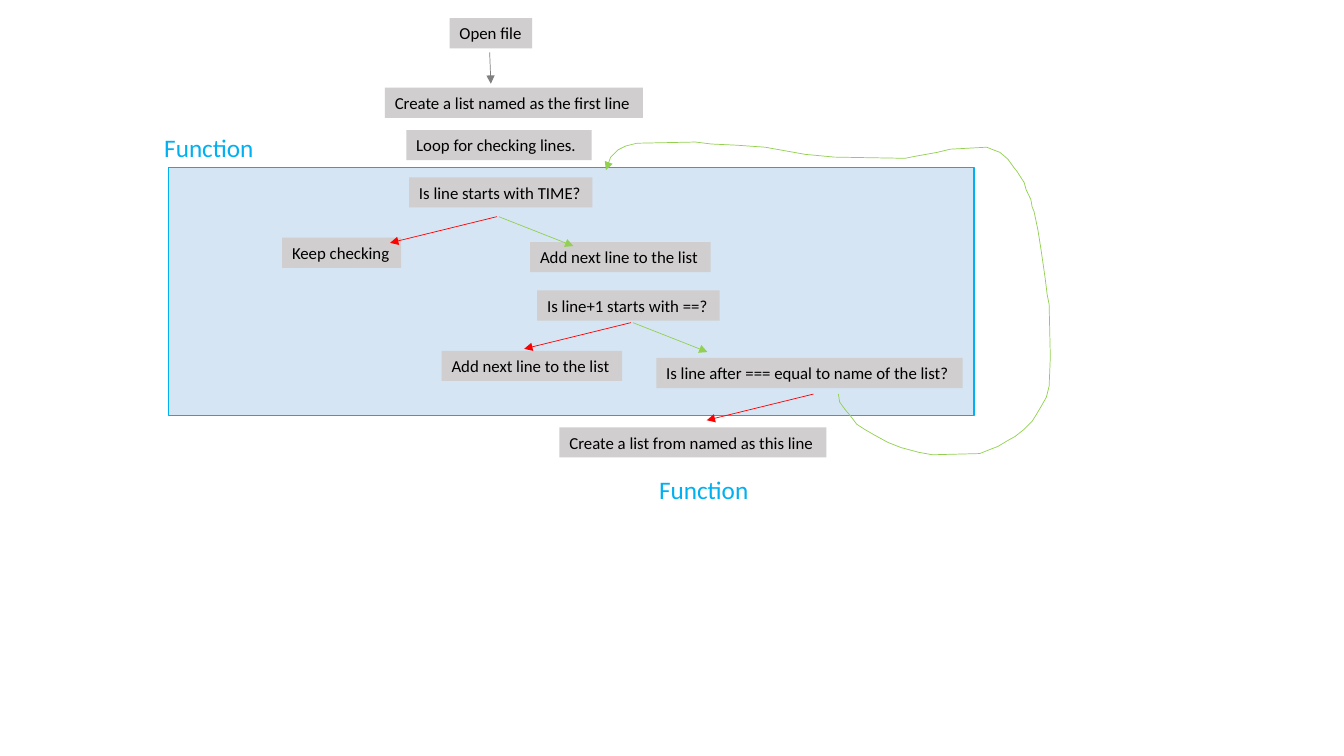
from lxml import etree
from pptx import Presentation
from pptx.dml.color import RGBColor
from pptx.enum.shapes import MSO_CONNECTOR, MSO_SHAPE
from pptx.oxml.ns import qn
from pptx.util import Cm, Pt

GREY = RGBColor(0xD0, 0xCE, 0xCE)
DARK_GREY = RGBColor(0x80, 0x80, 0x80)
BLUE = RGBColor(0x5B, 0x9B, 0xD5)
CYAN = RGBColor(0x00, 0xB0, 0xF0)
RED = RGBColor(0xFF, 0x00, 0x00)
GREEN = RGBColor(0x92, 0xD0, 0x50)
BLACK = RGBColor(0x00, 0x00, 0x00)

presentation = Presentation()
presentation.slide_width, presentation.slide_height = Cm(33.87), Cm(19.05)
slide = presentation.slides.add_slide(presentation.slide_layouts[6])
shapes = slide.shapes


def add_label(text, left, top, width, height, size, color):
    box = shapes.add_textbox(Cm(left), Cm(top), Cm(width), Cm(height))
    frame = box.text_frame
    frame.word_wrap = True
    frame.margin_right = 0
    frame.text = text
    font = frame.paragraphs[0].font
    font.name, font.size, font.color.rgb = "Calibri", Pt(size), color
    return box


def style_arrow(arrow, color):
    arrow.line.color.rgb = color
    arrow.line.width = Pt(0.5)
    etree.SubElement(arrow.line._get_or_add_ln(), qn("a:tailEnd"), type="triangle")


# Function area
area = shapes.add_shape(MSO_SHAPE.RECTANGLE, Cm(4.25), Cm(4.22), Cm(20.3), Cm(6.25))
area.shadow.inherit = False
area.fill.solid()
area.fill.fore_color.rgb = BLUE
fill_color = area.fill._xPr.find(qn("a:solidFill"))[0]
etree.SubElement(fill_color, qn("a:alpha"), val="25000")
area.line.color.rgb = CYAN
area.line.width = Pt(1)

# Steps: text, left, top, width
steps = [
    ("Open file", 11.33, 0.46, 2.08),
    ("Create a list named as the first line", 9.7, 2.21, 6.5),
    ("Loop for checking lines.", 10.24, 3.28, 4.67),
    ("Is line starts with TIME?", 10.31, 4.47, 4.62),
    ("Keep checking", 7.11, 5.99, 3),
    ("Add next line to the list", 13.36, 6.1, 4.55),
    ("Is line+1 starts with ==?", 13.54, 7.32, 4.6),
    ("Add next line to the list", 11.13, 8.84, 4.55),
    ("Is line after === equal to name of the list?", 16.54, 9.02, 7.72),
    ("Create a list from named as this line", 14.1, 10.77, 6.73),
]
for text, left, top, width in steps:
    step = add_label(text, left, top, width, 0.76, 12, BLACK)
    step.fill.solid()
    step.fill.fore_color.rgb = GREY

# Function titles
for left, top in [(3.89, 3.2), (16.36, 11.84)]:
    add_label("Function", left, top, 2.79, 1.02, 18, CYAN)

# Straight arrows: start, run, colour
no_run, yes_run = (-2.69, 0.66), (1.88, 0.74)
arrows = [
    ((12.34, 1.32), (0.03, 0.79), DARK_GREY),
    ((12.52, 5.46), no_run, RED),
    ((12.57, 5.46), yes_run, GREEN),
    ((15.9, 8.13), no_run, RED),
    ((15.95, 8.13), yes_run, GREEN),
    ((20.5, 9.93), no_run, RED),
]
for (x, y), (run_x, run_y), color in arrows:
    arrow = shapes.add_connector(
        MSO_CONNECTOR.STRAIGHT, Cm(x), Cm(y), Cm(x + run_x), Cm(y + run_y))
    style_arrow(arrow, color)
    etree.SubElement(arrow._element.spPr, qn("a:effectLst"))

# Loop back to the function
loop_points = [
    (21.13, 9.93), (21.16, 10.13), (21.29, 10.31), (21.44, 10.49), (21.59, 10.69),
    (21.79, 10.82), (22.05, 10.97), (22.38, 11.15), (22.71, 11.28), (23.16, 11.4),
    (23.5, 11.46), (24.69, 11.43), (24.94, 11.33), (25.15, 11.25), (25.4, 11.1),
    (25.58, 11), (25.81, 10.82), (26.01, 10.62), (26.14, 10.41), (26.24, 10.24),
    (26.37, 10.01), (26.44, 9.73), (26.47, 9), (26.44, 7.67), (26.39, 7.42),
    (26.34, 7.01), (26.24, 6.32), (26.16, 5.81), (26.06, 5.33), (26.01, 5.21),
    (25.98, 5.03), (25.86, 4.78), (25.81, 4.6), (25.63, 4.32), (25.55, 4.22),
    (25.4, 4.01), (25.2, 3.84), (24.99, 3.76), (24.87, 3.71), (23.95, 3.76),
    (23.62, 3.84), (23.06, 3.94), (22.81, 3.99), (21.03, 3.96), (20.29, 3.89),
    (19.56, 3.76), (19.28, 3.71), (18.57, 3.66), (17.93, 3.63), (17.53, 3.58),
    (16.05, 3.61), (15.77, 3.68), (15.57, 3.78), (15.39, 3.96), (15.27, 4.29),
]
points = [(Cm(x), Cm(y)) for x, y in loop_points]
builder = shapes.build_freeform(*points[0])
builder.add_line_segments(points[1:], close=False)
loop = builder.convert_to_shape()
loop.shadow.inherit = False
loop.fill.background()
style_arrow(loop, GREEN)

presentation.save("out.pptx")
